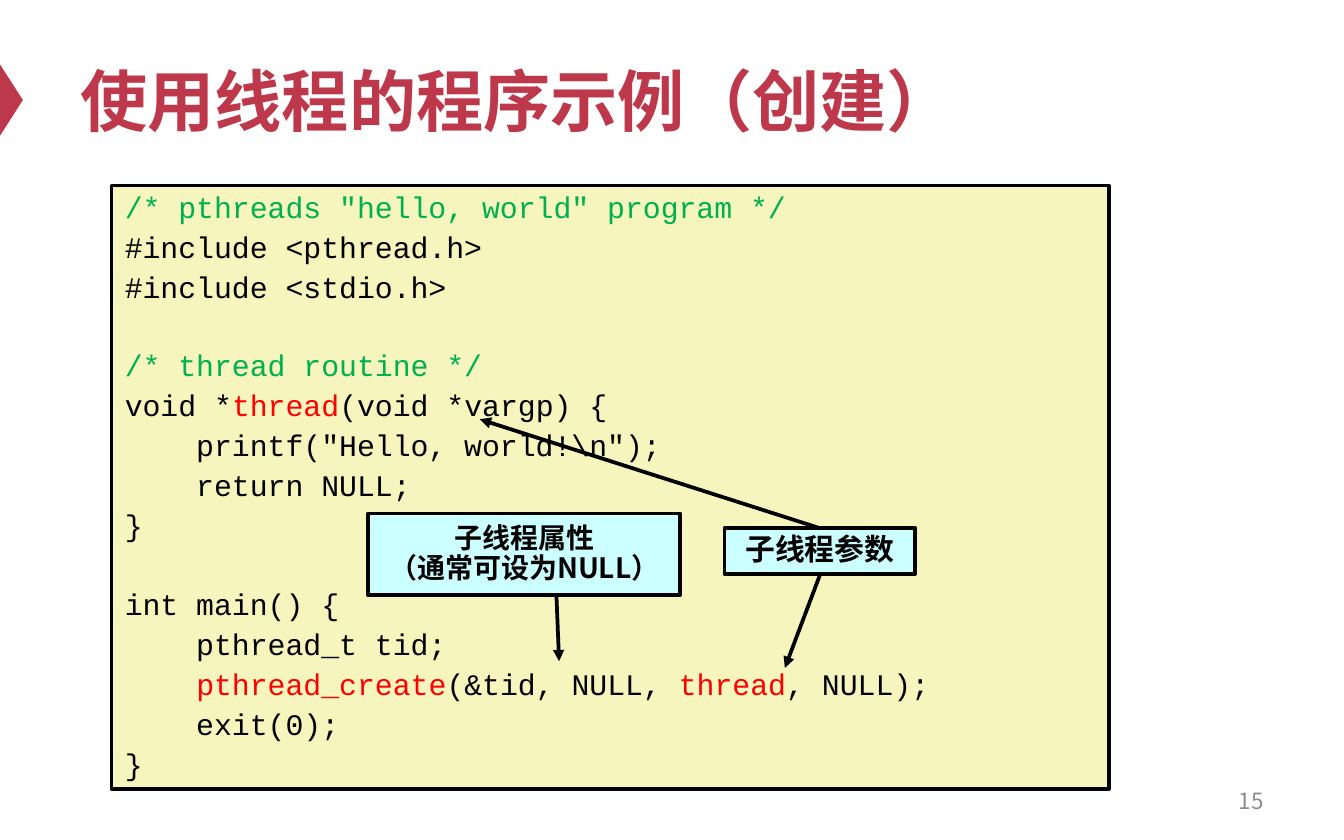
from lxml.etree import SubElement
from pptx import Presentation
from pptx.dml.color import RGBColor
from pptx.enum.shapes import MSO_CONNECTOR, MSO_SHAPE
from pptx.enum.text import MSO_ANCHOR, PP_ALIGN
from pptx.oxml.ns import qn
from pptx.util import Inches, Pt

COLORS = {
    "accent": "BE384B", "number": "8C8C8C", "code_bg": "F6F5BD",
    "callout_bg": "CCFFFF", "black": "000000", "comment": "00B050", "highlight": "FF0000",
}
CJK = "Noto Sans CJK SC"
CODE_GAP, CODE_PITCH = 4.2, 20.5  # points: space before a line, line to line


def add_box(shape_type, box, fill, outlined=True):
    sp = s.shapes.add_shape(shape_type, *map(Inches, box))
    sp.shadow.inherit = False
    sp.fill.solid()
    sp.fill.fore_color.rgb = RGBColor.from_string(COLORS[fill])
    if outlined:
        sp.line.color.rgb = RGBColor.from_string(COLORS["black"])
        sp.line.width = Pt(2)
    else:
        sp.line.fill.background()
    tf = sp.text_frame
    tf.word_wrap = True
    tf.vertical_anchor = MSO_ANCHOR.MIDDLE
    return sp


def add_run(p, text, color, size, name=CJK, bold=False):
    r = p.add_run()
    r.text = text
    for key, value in {"name": name, "size": Pt(size), "bold": bold}.items():
        setattr(r.font, key, value)
    r.font.color.rgb = RGBColor.from_string(COLORS[color])
    SubElement(r.font._element, qn("a:ea"), typeface=CJK)


prs = Presentation()
prs.slide_width, prs.slide_height = Inches(10), Inches(6.25)
s = prs.slides.add_slide(prs.slide_layouts[6])

# Title marker, title and page number
marker = add_box(MSO_SHAPE.ISOSCELES_TRIANGLE, (-0.18, 0.66, 0.53, 0.17), "accent", False)
marker.rotation = 90

labels = [
    ((0.5, 0.25, 9, 0.98), "使用线程的程序示例（创建）", PP_ALIGN.LEFT,
     {"color": "accent", "size": 36, "name": "Arial", "bold": True}),
    ((7.17, 5.79, 2.33, 0.33), "15", PP_ALIGN.RIGHT, {"color": "number", "size": 12}),
]
for box, text, align, style in labels:
    tf = s.shapes.add_textbox(*map(Inches, box)).text_frame
    tf.word_wrap = True
    tf.vertical_anchor = MSO_ANCHOR.MIDDLE
    p = tf.paragraphs[0]
    p.alignment = align
    add_run(p, text, **style)

# Code listing: each line is a list of (text, color); an empty line becomes spacing
code = [
    [('/* pthreads "hello, world" program */', "comment")],
    [("#include <pthread.h>", "black")],
    [("#include <stdio.h>", "black")],
    [],
    [("/* thread routine */", "comment")],
    [("void *", "black"), ("thread", "highlight"), ("(void *vargp) {", "black")],
    [('    printf("Hello, world!\\n");', "black")],
    [("    return NULL;", "black")],
    [("}", "black")],
    [],
    [("int main() {", "black")],
    [("    pthread_t tid;", "black")],
    [("    ", "black"), ("pthread_create", "highlight"), ("(&tid, NULL, ", "black"),
     ("thread", "highlight"), (", NULL);", "black")],
    [("    exit(0);", "black")],
    [("}", "black")],
]
tf = add_box(MSO_SHAPE.RECTANGLE, (0.83, 1.38, 7.42, 4.49), "code_bg").text_frame
p, gap = tf.paragraphs[0], 0
for i, line in enumerate(code):
    if not line:
        gap += CODE_PITCH
        continue
    if i:
        p = tf.add_paragraph()
    p.alignment = PP_ALIGN.LEFT
    p.line_spacing = 0.9
    p.space_before = Pt(gap)
    for text, color in line:
        add_run(p, text, color, 16, "Courier New")
    gap = CODE_GAP

# Callouts
callouts = [
    ((5.39, 3.93, 1.42, 0.34), 16, ["子线程参数"]),
    ((2.74, 3.82, 2.32, 0.61), 15, ["子线程属性", "（通常可设为NULL）"]),
]
for box, size, lines in callouts:
    tf = add_box(MSO_SHAPE.RECTANGLE, box, "callout_bg").text_frame
    tf.margin_top = tf.margin_bottom = 0
    for i, text in enumerate(lines):
        p = tf.add_paragraph() if i else tf.paragraphs[0]
        p.alignment = PP_ALIGN.CENTER
        p.line_spacing = 0.9
        add_run(p, text, "black", size, bold=True)

# Arrows from the callouts to the code
arrows = [(6.1, 3.93, 3.57, 3.12), (6.1, 4.28, 5.84, 4.97), (4.14, 4.42, 4.16, 4.92)]
for ends in arrows:
    arrow = s.shapes.add_connector(MSO_CONNECTOR.STRAIGHT, *map(Inches, ends))
    arrow.line.color.rgb = RGBColor.from_string(COLORS["black"])
    arrow.line.width = Pt(2)
    SubElement(arrow.line._get_or_add_ln(), qn("a:tailEnd"), type="triangle")
    SubElement(arrow._element.spPr, qn("a:effectLst"))

prs.save("out.pptx")
